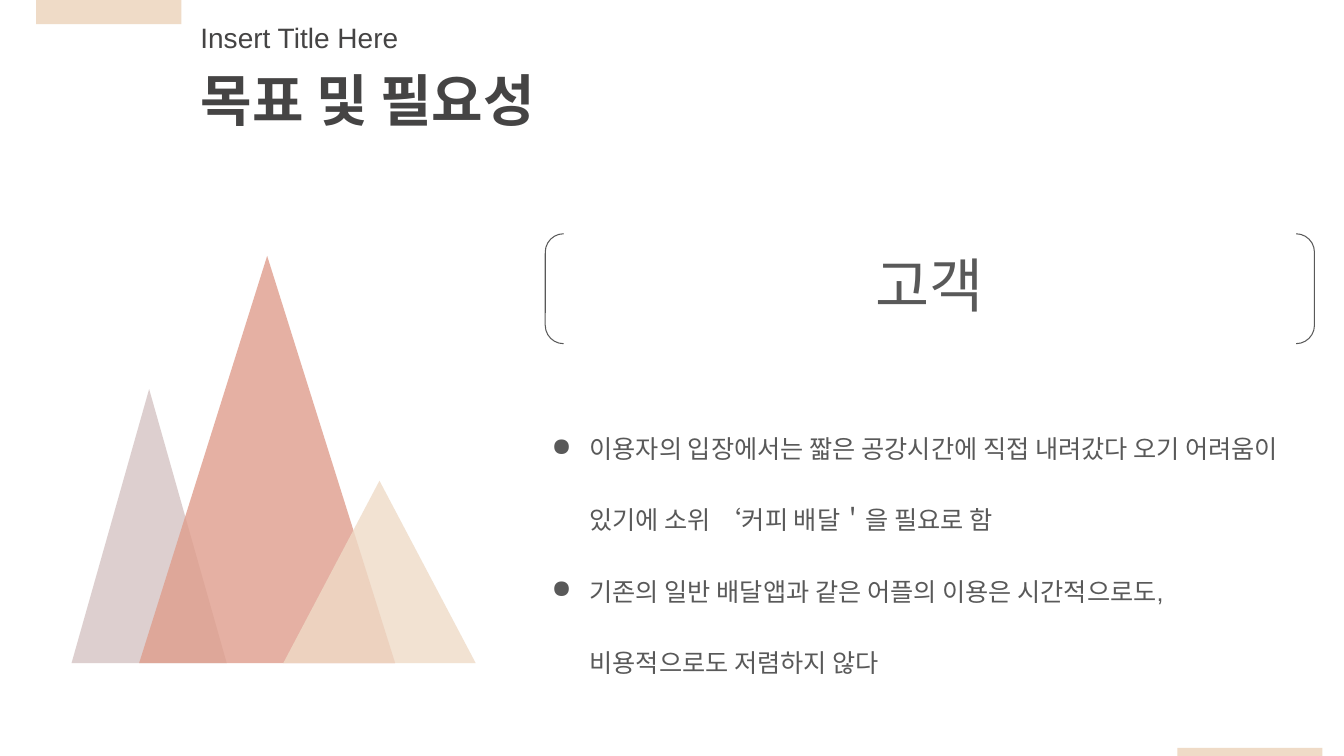
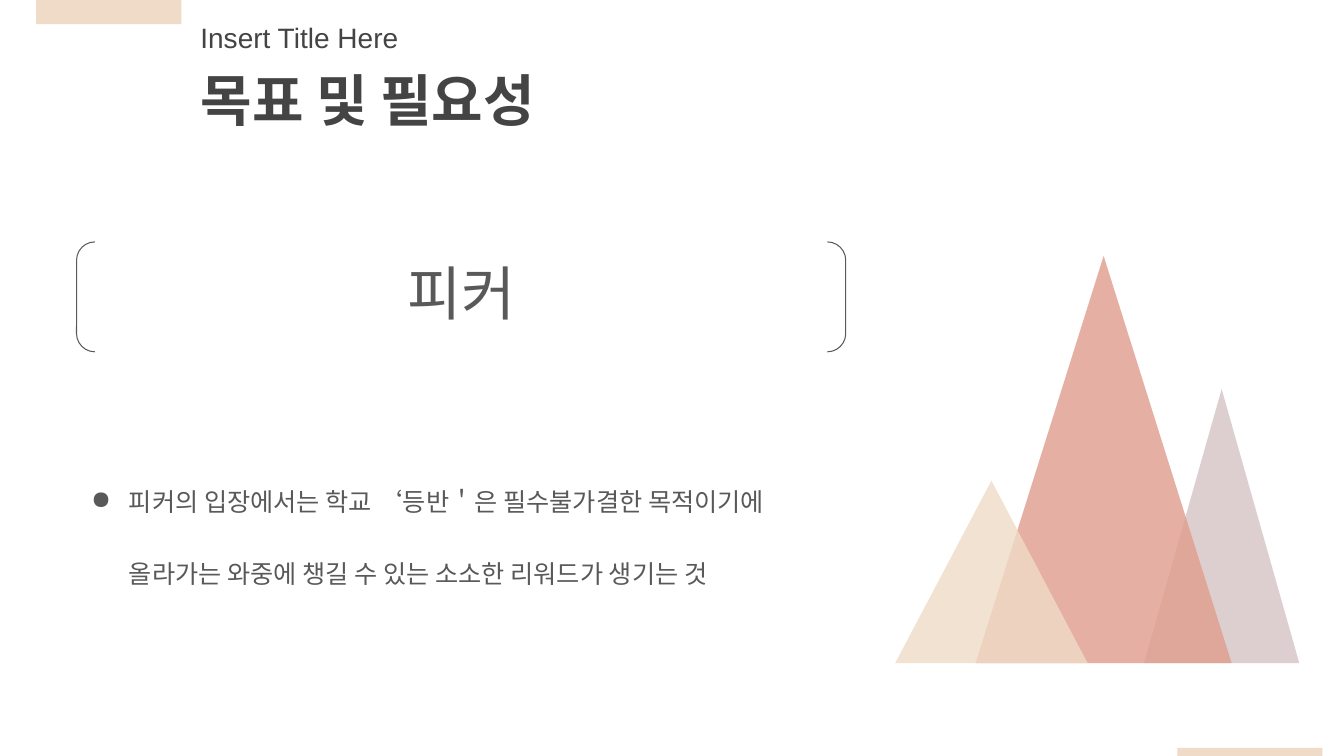
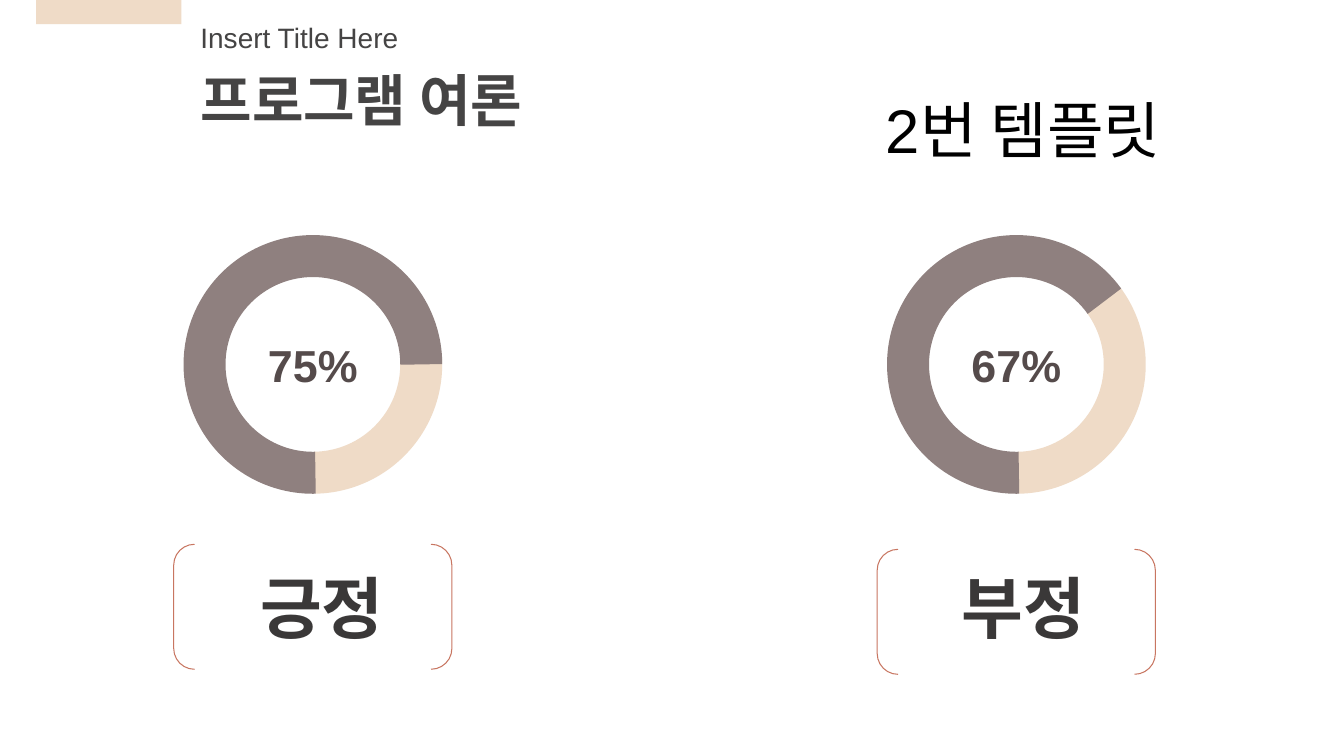
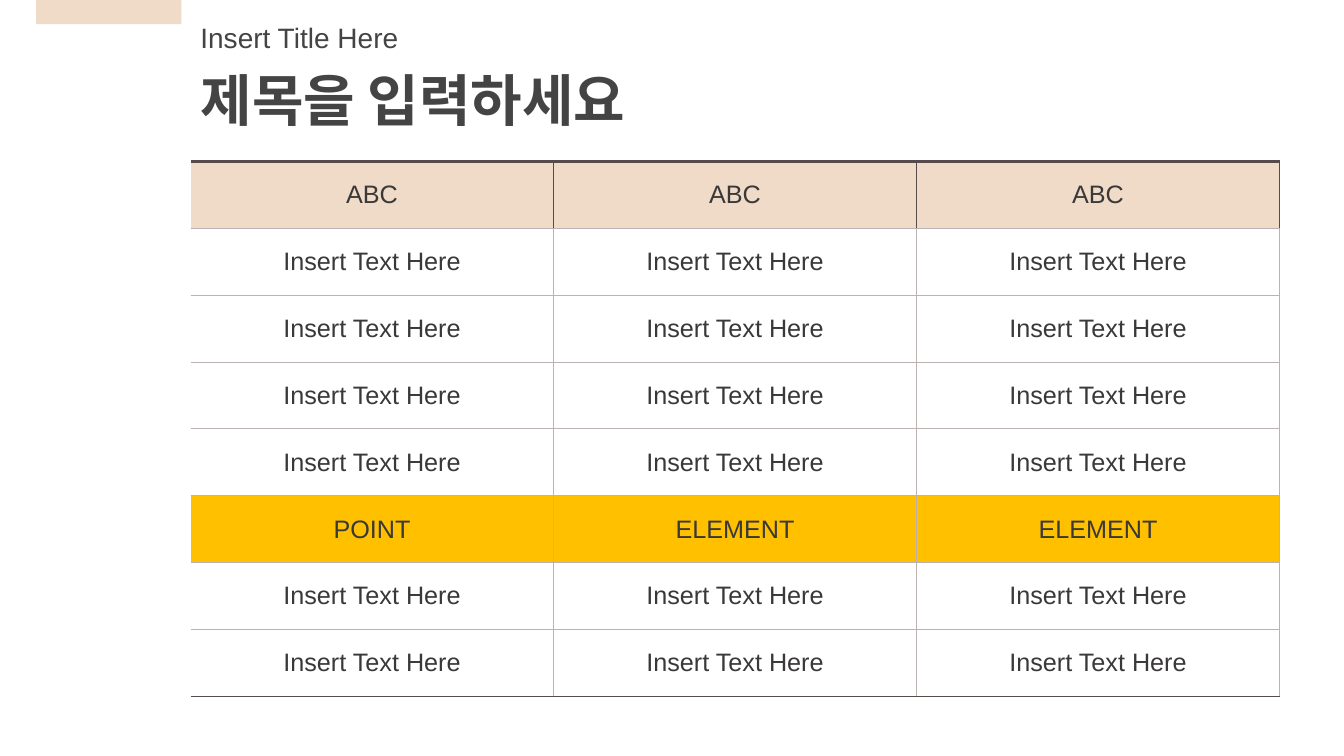
from pptx import Presentation
from pptx.dml.color import RGBColor
from pptx.enum.shapes import MSO_SHAPE
from pptx.enum.text import MSO_ANCHOR, MSO_AUTO_SIZE, PP_ALIGN
from pptx.oxml.ns import qn
from pptx.util import Pt
from lxml.etree import SubElement

RECT, PEAK = MSO_SHAPE.RECTANGLE, MSO_SHAPE.ISOSCELES_TRIANGLE
PAIR, ARC = MSO_SHAPE.DOUBLE_BRACKET, MSO_SHAPE.ARC
TOP, MID = MSO_ANCHOR.TOP, MSO_ANCHOR.MIDDLE
LEFT, MIDDLE = PP_ALIGN.LEFT, PP_ALIGN.CENTER
FIXED = MSO_AUTO_SIZE.NONE

FONT = "Arial"
SAND = RGBColor(0xEF, 0xDB, 0xC7)
ROSE = RGBColor(0xDF, 0x9D, 0x8C)
MAUVE = RGBColor(0xD5, 0xC4, 0xC4)
BROWN = RGBColor(0x8F, 0x80, 0x7F)
DARK = RGBColor(0x55, 0x4B, 0x4B)
RUST = RGBColor(0xC8, 0x76, 0x61)
GOLD = RGBColor(0xFF, 0xC0, 0x00)
RULE = RGBColor(0xBB, 0xB2, 0xB1)
HEAD = RGBColor(0x45, 0x44, 0x44)
BODY = RGBColor(0x59, 0x59, 0x59)
INK = RGBColor(0x3A, 0x38, 0x38)
BLACK = RGBColor(0, 0, 0)
WHITE = RGBColor(0xFF, 0xFF, 0xFF)

LABEL = "Insert Title Here"
GOALS = [
    {"title": "목표 및 필요성", "name": "고객", "flip": False,
     "pair": (389.5, 167), "box": (378, 276.5, 560.9, 183.6),
     "points": ["이용자의 입장에서는 짧은 공강시간에 직접 내려갔다 오기 어려움이 있기에 소위 ‘커피 배달＇을 필요로 함",
                "기존의 일반 배달앱과 같은 어플의 이용은 시간적으로도, 비용적으로도 저렴하지 않다"]},
    {"title": "목표 및 필요성", "name": "피커", "flip": True,
     "pair": (54.7, 172.8), "box": (49, 314.6, 560.9, 80.6),
     "points": ["피커의 입장에서는 학교 ‘등반＇은 필수불가결한 목적이기에 올라가는 와중에 챙길 수 있는 소소한 리워드가 생기는 것"]},
]
PEAKS = [(51.1, 110.9, 195.8, MAUVE), (99.4, 182.9, 290.9, ROSE),
         (202.3, 137.5, 130.3, SAND)]
BASE, SPAN = 473.7, 979.2

POLL = "프로그램 여론"
NOTE = "2번 템플릿"
RINGS = [
    {"mid": 223.5, "rate": "75%", "end": 0, "start": 214.3,
     "pair": 388.8, "name": "긍정", "shift": 6.5, "wide": 127.4},
    {"mid": 726, "rate": "67%", "end": 194.6, "start": 194.05,
     "pair": 392.4, "name": "부정", "shift": 5.2, "wide": 188},
]
RING = 154.8

GRID = "제목을 입력하세요"
PLAIN = ["Insert Text Here"] * 3
ROWS = ([(["ABC"] * 3, SAND)] + [(PLAIN, WHITE)] * 4
        + [(["POINT", "ELEMENT", "ELEMENT"], GOLD)] + [(PLAIN, WHITE)] * 2)
COL, ROW = 259.3, 47.8


def place(box):
    return [Pt(v) for v in box]


def write(frame, *lines, size=18, color=INK, bold=False, align=LEFT,
          anchor=TOP, space=None, bullet=None):
    frame.word_wrap = True
    frame.vertical_anchor = anchor
    for i, line in enumerate(lines):
        para = frame.add_paragraph() if i else frame.paragraphs[0]
        para.alignment = align
        if space:
            para.line_spacing = space
        if bullet:
            props = para._p.get_or_add_pPr()
            props.set("marL", str(Pt(36)))
            props.set("indent", str(Pt(-27)))
            tint = SubElement(props, qn("a:buClr"))
            SubElement(tint, qn("a:srgbClr"), val=str(color))
            SubElement(props, qn("a:buChar"), char=bullet)
        run = para.add_run()
        run.text = line
        font = run.font
        font.name, font.size, font.bold = FONT, Pt(size), bold
        font.color.rgb = color


def text(slide, box, *lines, **style):
    frame = slide.shapes.add_textbox(*place(box)).text_frame
    write(frame, *lines, **style)
    return frame


def draw(shapes, kind, box, fill=None, line=None, width=0.75, alpha=None):
    shape = shapes.add_shape(kind, *place(box))
    shape.shadow.inherit = False
    if fill is None:
        shape.fill.background()
    else:
        shape.fill.solid()
        shape.fill.fore_color.rgb = fill
        if alpha:
            tint = shape.element.spPr.find(qn("a:solidFill"))[0]
            SubElement(tint, qn("a:alpha"), val=str(alpha * 1000))
    if line is None:
        shape.line.fill.background()
    else:
        shape.line.color.rgb = line
        shape.line.width = Pt(width)
    return shape


def start(deck, title):
    slide = deck.slides.add_slide(deck.slide_layouts[5])
    draw(slide.shapes, RECT, (25.9, 0, 103.7, 17.3), SAND)
    text(slide, (136.1, 10.8, 260, 31.7), LABEL, size=20, color=HEAD)
    head = slide.shapes.title
    head.left, head.top, head.width, head.height = place((136.1, 43.2, 373, 55.4))
    write(head.text_frame, title, size=40, color=HEAD, bold=True)
    head.text_frame.auto_size = FIXED
    return slide


def goal(deck, item):
    slide = start(deck, item["title"])
    draw(slide.shapes, RECT, (841, 534.2, 103.7, 5.8), SAND)
    group = slide.shapes.add_group_shape()
    for left, wide, high, color in PEAKS:
        x = SPAN - left - wide if item["flip"] else left
        draw(group.shapes, PEAK, (x, BASE - high, wide, high), color, alpha=80)
    text(slide, item["box"], *item["points"], color=BODY, space=2.36, bullet="●")
    pair = draw(slide.shapes, PAIR, (*item["pair"], 549.4, 78.5), line=BODY)
    write(pair.text_frame, item["name"], size=42, color=BODY, align=MIDDLE,
          anchor=MID, space=0.9)


def poll(deck):
    slide = start(deck, POLL)
    for item in RINGS:
        mid = item["mid"]
        group = slide.shapes.add_group_shape()
        for color, first, last in ((SAND, item["start"], 53.46),
                                   (BROWN, 53.2, item["end"])):
            arc = draw(group.shapes, ARC, (mid - RING / 2, 182.9, RING, RING),
                       line=color, width=30)
            arc.adjustments[0], arc.adjustments[1] = first, last
        text(slide, (mid - 39.6, 237.6, 79.2, 46.1), item["rate"], size=32,
             color=DARK, bold=True, align=MIDDLE)
        draw(slide.shapes, PAIR, (mid - 99.4, item["pair"], 198.7, 89.3), line=RUST)
        wide = item["wide"]
        text(slide, (mid + item["shift"] - wide / 2, 401, wide, 65.5),
             item["name"], size=48, bold=True, align=MIDDLE)
    note = text(slide, (625.7, 58.3, 334, 67.7), NOTE, size=44, color=BLACK)
    note.margin_top = note.margin_bottom = Pt(7.2)


def edge(cell, side, color, width):
    line = SubElement(cell._tc.get_or_add_tcPr(), qn("a:ln" + side),
                      w=str(Pt(width)))
    if color is None:
        SubElement(line, qn("a:noFill"))
    else:
        fill = SubElement(line, qn("a:solidFill"))
        SubElement(fill, qn("a:srgbClr"), val=str(color))


def grid(deck):
    slide = start(deck, GRID)
    count = len(ROWS)
    table = slide.shapes.add_table(
        count, 3, *place((136.1, 115.2, COL * 3, ROW * count))).table
    table.first_row = table.horz_banding = False
    for col in table.columns:
        col.width = Pt(COL)
    for r, (names, color) in enumerate(ROWS):
        table.rows[r].height = Pt(ROW)
        side = RULE if r else DARK
        for c, name in enumerate(names):
            cell = table.cell(r, c)
            edge(cell, "L", side if c else None, 0.75)
            edge(cell, "R", side, 0.75)
            edge(cell, "T", side, 0.75 if r else 2.25)
            last = r == count - 1
            edge(cell, "B", DARK if last else RULE, 1 if last else 0.75)
            cell.fill.solid()
            cell.fill.fore_color.rgb = color
            write(cell.text_frame, name, align=MIDDLE)
            cell.vertical_anchor = MID


def main():
    deck = Presentation()
    deck.slide_width, deck.slide_height = Pt(960), Pt(540)
    for item in GOALS:
        goal(deck, item)
    poll(deck)
    grid(deck)
    deck.save("out.pptx")


if __name__ == "__main__":
    main()
